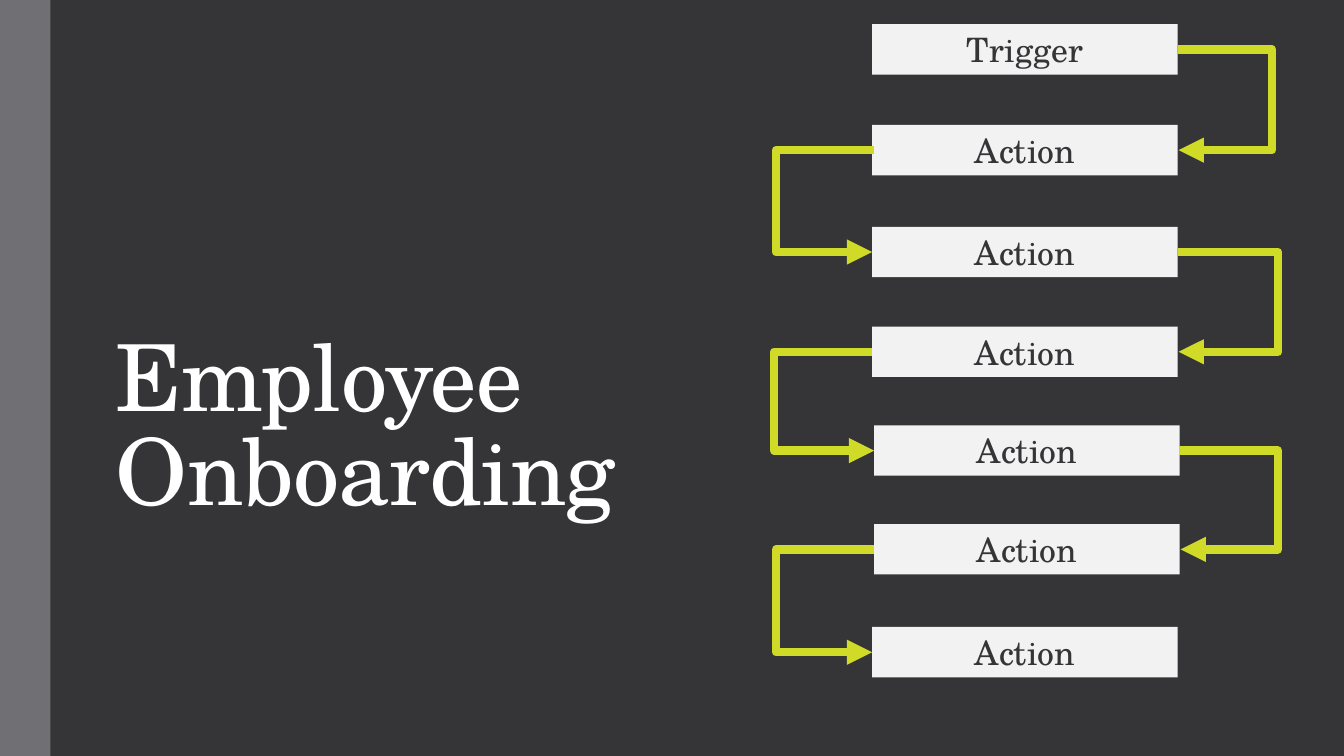
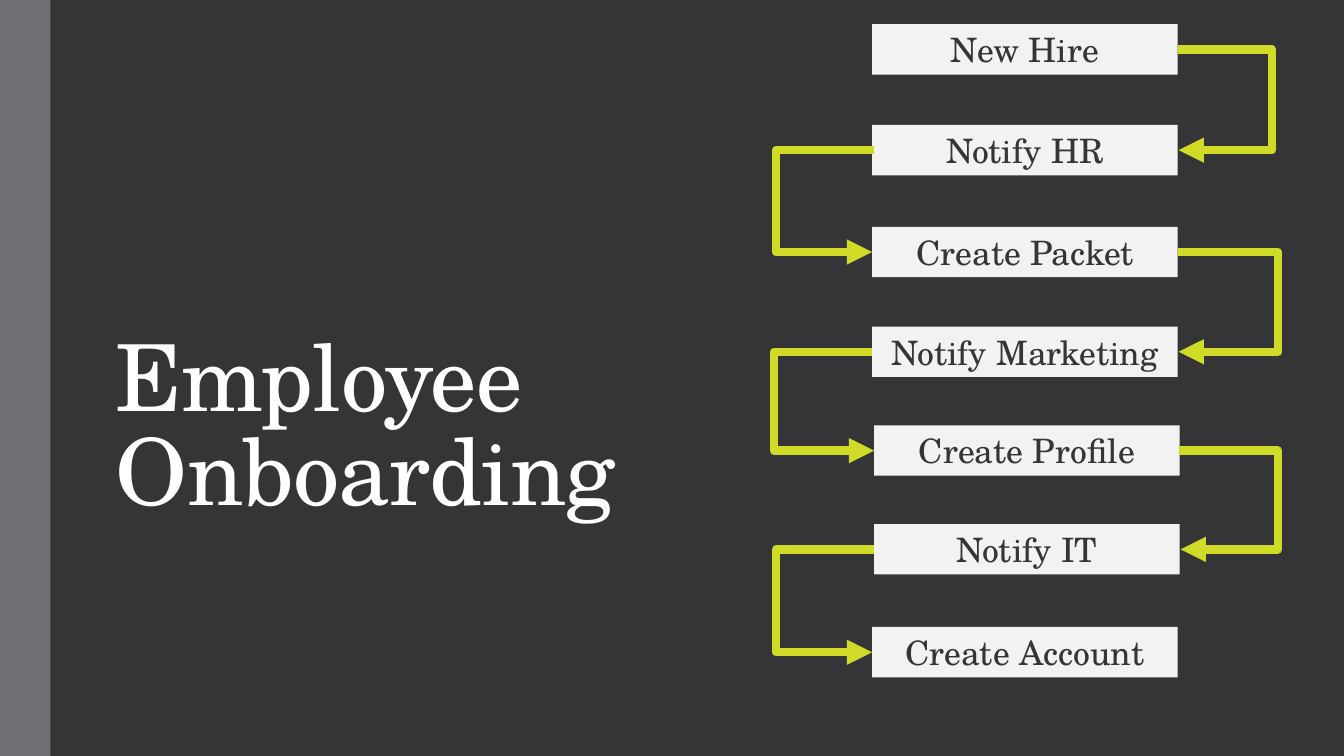
from typing import NamedTuple

from lxml.etree import SubElement
from pptx import Presentation
from pptx.dml.color import RGBColor
from pptx.enum.shapes import MSO_CONNECTOR, MSO_SHAPE
from pptx.enum.text import MSO_ANCHOR, MSO_AUTO_SIZE, PP_ALIGN
from pptx.oxml.ns import qn
from pptx.presentation import Presentation as Deck
from pptx.slide import Slide
from pptx.text.text import _Paragraph as Paragraph
from pptx.util import Inches, Pt

# Shared style
CHARCOAL = RGBColor(0x35, 0x35, 0x37)
BAND_GREY = RGBColor(0x6F, 0x6F, 0x74)
PALE_GREY = RGBColor(0xF2, 0xF2, 0xF2)
LIME = RGBColor(0xCF, 0xDB, 0x27)
WHITE = RGBColor(0xFF, 0xFF, 0xFF)
FONT = "TeX Gyre Schola"
STEP_WIDTH, STEP_HEIGHT = 3.03, 0.5
HALF_TURN = "10800000"
TITLE_ONLY = 5


class Slot(NamedTuple):
    """Place of one step of the workflow, in inches."""
    left: float
    top: float


class Link(NamedTuple):
    """Elbow arrow from one step to the next: its x positions in inches."""
    start: float
    bend: float
    end: float


SLOTS = (
    Slot(8.65, 0.24), Slot(8.65, 1.24), Slot(8.65, 2.25), Slot(8.65, 3.24),
    Slot(8.67, 4.22), Slot(8.67, 5.2), Slot(8.65, 6.22),
)
LINKS = (
    Link(11.68, 12.63, 11.69), Link(8.67, 7.7, 8.65),
    Link(11.68, 12.69, 11.69), Link(8.65, 7.68, 8.67),
    Link(11.69, 12.67, 11.71), Link(8.67, 7.7, 8.65),
)

# Content
TITLE = "Employee Onboarding"
WORKFLOWS = (
    ("Trigger",) + ("Action",) * 6,
    ("New Hire", "Notify HR", "Create Packet", "Notify Marketing",
     "Create Profile", "Notify IT", "Create Account"),
)


def add_text(paragraph: Paragraph, text: str, size: int, color: RGBColor):
    run = paragraph.add_run()
    run.text = text
    run.font.name = FONT
    run.font.size = Pt(size)
    run.font.color.rgb = color
    return run


def add_block(slide: Slide, left: float, top: float, width: float,
              height: float, color: RGBColor):
    block = slide.shapes.add_shape(
        MSO_SHAPE.RECTANGLE, Inches(left), Inches(top),
        Inches(width), Inches(height))
    block.shadow.inherit = False
    block.fill.solid()
    block.fill.fore_color.rgb = color
    block.line.fill.background()
    return block


def add_title(slide: Slide) -> None:
    title = slide.shapes.title
    title.left, title.top = Inches(1.05), Inches(0.83)
    title.width, title.height = Inches(5.61), Inches(4.42)
    frame = title.text_frame
    frame.word_wrap = True
    frame.auto_size = MSO_AUTO_SIZE.NONE
    frame.vertical_anchor = MSO_ANCHOR.BOTTOM
    paragraph = frame.paragraphs[0]
    paragraph.alignment = PP_ALIGN.LEFT
    paragraph.line_spacing = 0.85
    run = add_text(paragraph, TITLE, 66, WHITE)
    run.font._element.set("spc", "-50")


def add_step(slide: Slide, slot: Slot, label: str) -> None:
    step = add_block(slide, slot.left, slot.top, STEP_WIDTH, STEP_HEIGHT, PALE_GREY)
    frame = step.text_frame
    frame.word_wrap = True
    frame.auto_size = MSO_AUTO_SIZE.SHAPE_TO_FIT_TEXT
    frame.vertical_anchor = MSO_ANCHOR.TOP
    paragraph = frame.paragraphs[0]
    paragraph.alignment = PP_ALIGN.CENTER
    add_text(paragraph, label, 24, CHARCOAL)


def add_link(slide: Slide, link: Link, source: Slot, target: Slot) -> None:
    arrow = slide.shapes.add_connector(
        MSO_CONNECTOR.ELBOW,
        Inches(link.start), Inches(source.top + STEP_HEIGHT / 2),
        Inches(link.end), Inches(target.top + STEP_HEIGHT / 2))
    arrow.line.color.rgb = LIME
    arrow.line.width = Pt(6)
    properties = arrow._element.spPr

    # Arrows on the left side are turned by half
    if link.bend < link.start:
        transform = properties.find(qn("a:xfrm"))
        transform.set("rot", HALF_TURN)
        transform.set("flipH", "1" if link.end > link.start else "0")
        transform.set("flipV", "1")

    # The bend lies outside the narrow span between start and end
    ratio = (link.bend - link.start) / (link.end - link.start)
    guides = properties.find(qn("a:prstGeom")).get_or_add_avLst()
    SubElement(guides, qn("a:gd"), name="adj1", fmla=f"val {round(ratio * 100000)}")

    outline = properties.find(qn("a:ln"))
    SubElement(outline, qn("a:round"))
    SubElement(outline, qn("a:tailEnd"), type="triangle")
    SubElement(properties, qn("a:effectLst"))


def add_workflow(deck: Deck, labels: tuple[str, ...]) -> None:
    slide = deck.slides.add_slide(deck.slide_layouts[TITLE_ONLY])
    add_block(slide, 0, 0, 0.5, 7.5, BAND_GREY)
    add_title(slide)
    for slot, label in zip(SLOTS, labels):
        add_step(slide, slot, label)
    for link, source, target in zip(LINKS, SLOTS, SLOTS[1:]):
        add_link(slide, link, source, target)


# Build the slides
deck = Presentation()
deck.slide_width, deck.slide_height = Inches(13.33), Inches(7.5)
backdrop = deck.slide_master.background.fill
backdrop.solid()
backdrop.fore_color.rgb = CHARCOAL
for workflow in WORKFLOWS:
    add_workflow(deck, workflow)
deck.save("out.pptx")
